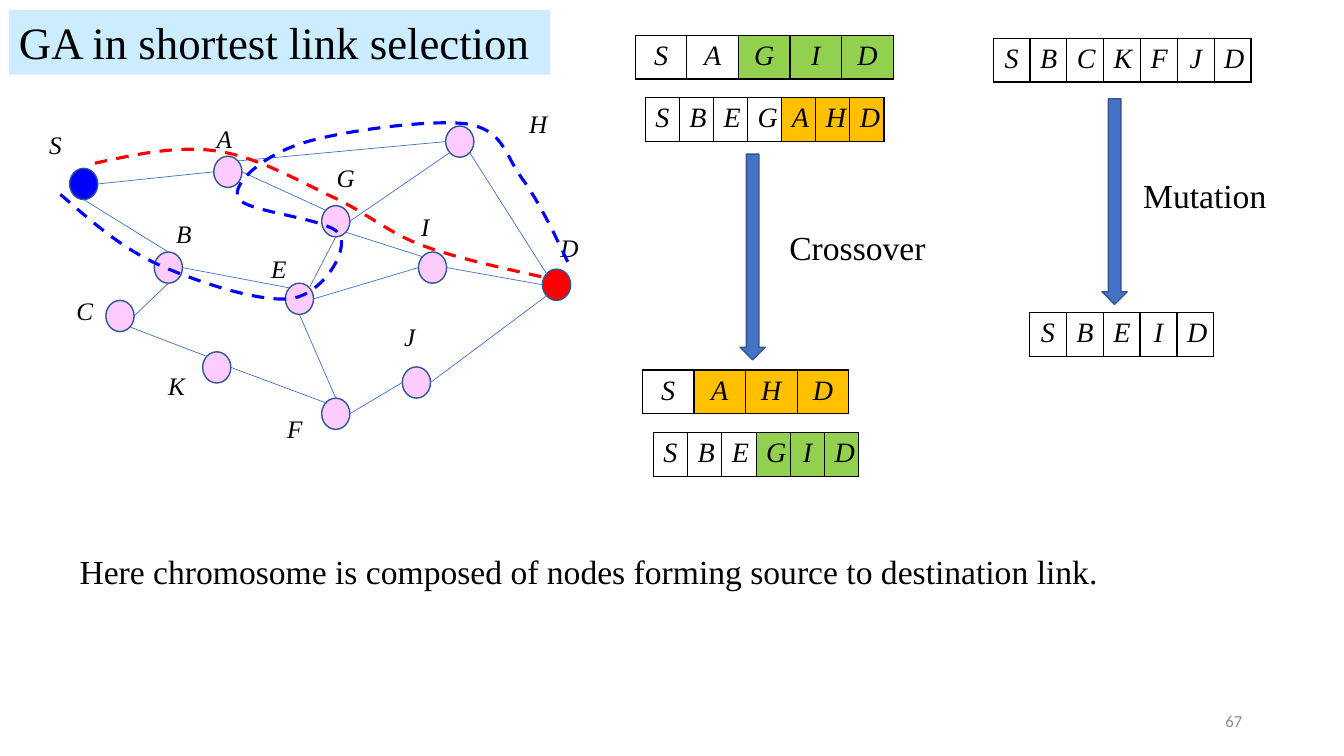
from dataclasses import dataclass

from lxml import etree
from pptx import Presentation
from pptx.dml.color import RGBColor
from pptx.enum.dml import MSO_LINE
from pptx.enum.shapes import MSO_CONNECTOR, MSO_SHAPE
from pptx.enum.text import MSO_ANCHOR, MSO_AUTO_SIZE, PP_ALIGN
from pptx.oxml.ns import qn
from pptx.util import Inches, Pt

DASH = MSO_LINE.DASH
STRAIGHT = MSO_CONNECTOR.STRAIGHT
OVAL, DOWN_ARROW = MSO_SHAPE.OVAL, MSO_SHAPE.DOWN_ARROW
TOP, MIDDLE = MSO_ANCHOR.TOP, MSO_ANCHOR.MIDDLE
GROW, FIXED = MSO_AUTO_SIZE.SHAPE_TO_FIT_TEXT, MSO_AUTO_SIZE.NONE
LEFT, CENTER, RIGHT = PP_ALIGN.LEFT, PP_ALIGN.CENTER, PP_ALIGN.RIGHT


@dataclass(frozen=True)
class Theme:
    font: str = "Times New Roman"
    number_font: str = "Calibri"
    ink: str = "000000"
    muted: str = "8C8C8C"
    title_fill: str = "CCECFF"
    node: str = "FFCCFF"
    source: str = "0000FF"
    target: str = "FF0000"
    accent: str = "4472C4"
    outline: str = "325491"
    green: str = "92D050"
    orange: str = "FFC000"
    title: int = 32
    body: int = 24
    gene: int = 20
    label: int = 18
    number: int = 12


T = Theme()
NODE_W, NODE_H = 0.28, 0.31
ROW_H = 0.43

# name: node left, node top, label left, label top (inside the network box)
NODES = {
    "S": (0.19, 0.67, -0.11, 0.23),
    "A": (1.62, 0.55, 1.55, 0.17),
    "C": (0.55, 1.98, 0.16, 1.88),
    "G": (2.69, 1.04, 2.74, 0.56),
    "E": (2.33, 1.81, 2.09, 1.46),
    "B": (1.03, 1.5, 1.15, 1.12),
    "H": (3.92, 0.25, 4.65, 0.03),
    "J": (3.49, 2.64, 3.41, 2.14),
    "D": (4.88, 1.67, 4.96, 1.26),
    "K": (1.51, 2.49, 1.07, 2.62),
    "F": (2.69, 2.95, 2.25, 3.05),
    "I": (3.65, 1.5, 3.58, 1.05),
}
# Points on a node's rim, as fractions of its box
RIM = {"n": (0.5, 0), "s": (0.5, 1), "w": (0, 0.5), "e": (1, 0.5),
       "nw": (0.15, 0.15), "ne": (0.85, 0.15), "sw": (0.15, 0.85), "se": (0.85, 0.85)}
LINKS = [
    ("S", "e", "A", "w"), ("A", "e", "G", "nw"), ("A", "ne", "H", "w"),
    ("S", "s", "B", "n"), ("B", "e", "E", "nw"), ("B", "s", "C", "e"),
    ("C", "se", "K", "nw"), ("E", "s", "F", "n"), ("E", "ne", "G", "s"),
    ("G", "e", "H", "sw"), ("H", "se", "D", "nw"), ("G", "se", "I", "nw"),
    ("E", "e", "I", "w"), ("F", "e", "J", "w"), ("J", "e", "D", "sw"),
    ("K", "e", "F", "nw"), ("I", "e", "D", "w"),
]
# Bezier routes: a start point, then two control points and an end per piece
RED_ROUTE = [
    (0.44, 0.62), (0.85, 0.53), (1.27, 0.44), (1.66, 0.5),
    (2.06, 0.56), (2.47, 0.8), (2.81, 0.96), (3.15, 1.12), (3.35, 1.31), (3.7, 1.44),
    (4.06, 1.57), (4.49, 1.66), (4.93, 1.76),
]
BLUE_ROUTE = [
    (0.1, 0.93), (0.4, 1.19), (0.7, 1.46), (1.08, 1.63),
    (1.46, 1.8), (2.1, 2.01), (2.4, 1.96), (2.7, 1.91), (2.96, 1.49), (2.87, 1.33),
    (2.78, 1.16), (1.92, 1.11), (1.86, 0.96), (1.8, 0.81), (2.12, 0.54), (2.5, 0.42),
    (2.88, 0.3), (3.77, 0.18), (4.13, 0.23), (4.49, 0.29), (4.5, 0.52), (4.67, 0.76),
    (4.84, 0.99), (5, 1.32), (5.15, 1.64),
]


def rgb(color):
    return RGBColor.from_string(color)


def write(tf, text, size=T.body, font=T.font, color=T.ink, italic=False, align=LEFT):
    p = tf.paragraphs[0]
    p.alignment = align
    r = p.add_run()
    r.text = text
    r.font.size, r.font.name, r.font.italic = Pt(size), font, italic
    r.font.color.rgb = rgb(color)


def add_text(s, text, left, top, width, height, fill=None, anchor=TOP, fit=GROW, **style):
    sp = s.shapes.add_textbox(Inches(left), Inches(top), Inches(width), Inches(height))
    if fill:
        sp.fill.solid()
        sp.fill.fore_color.rgb = rgb(fill)
    tf = sp.text_frame
    tf.word_wrap, tf.auto_size, tf.vertical_anchor = True, fit, anchor
    write(tf, text, **style)


def add_preset(s, kind, left, top, width, height, fill):
    sp = s.shapes.add_shape(kind, Inches(left), Inches(top), Inches(width), Inches(height))
    sp.shadow.inherit = False
    sp.fill.solid()
    sp.fill.fore_color.rgb = rgb(fill)
    sp.line.color.rgb = rgb(T.outline)
    sp.line.width = Pt(1)


def add_link(s, x1, y1, x2, y2):
    line = s.shapes.add_connector(STRAIGHT, Inches(x1), Inches(y1), Inches(x2), Inches(y2))
    line.line.color.rgb = rgb(T.accent)
    line.line.width = Pt(0.5)
    etree.SubElement(line._element.spPr, qn("a:effectLst"))


def add_route(s, left, top, points, color):
    """Draw a dashed line through every third point, bent by the control points between."""
    places = [(Inches(left + x), Inches(top + y)) for x, y in points]
    builder = s.shapes.build_freeform(*places[0])
    builder.add_line_segments(places[3::3], close=False)
    sp = builder.convert_to_shape()
    for i, segment in enumerate(list(sp._element.iter(qn("a:lnTo")))):
        segment.tag = qn("a:cubicBezTo")
        for k, (x, y) in enumerate(places[3 * i + 1:3 * i + 3]):
            control = etree.Element(qn("a:pt"), x=str(x - sp.left), y=str(y - sp.top))
            segment.insert(k, control)
    sp.shadow.inherit = False
    sp.fill.background()
    sp.line.color.rgb = rgb(color)
    sp.line.width = Pt(2.25)
    sp.line.dash_style = DASH


def add_network(s, left, top):
    def rim(name, side):
        x, y = NODES[name][:2]
        fx, fy = RIM[side]
        return left + x + fx * NODE_W, top + y + fy * NODE_H

    fills = {"S": T.source, "D": T.target}
    for name, (x, y, _, _) in NODES.items():
        add_preset(s, OVAL, left + x, top + y, NODE_W, NODE_H, fills.get(name, T.node))
    for a, a_side, b, b_side in LINKS:
        add_link(s, *rim(a, a_side), *rim(b, b_side))
    for name, (_, _, x, y) in NODES.items():
        add_text(s, name, left + x, top + y, 0.44, 0.4, size=T.label, italic=True)
    add_route(s, left, top, RED_ROUTE, T.target)
    add_route(s, left, top, BLUE_ROUTE, T.source)


def set_borders(cell):
    tcPr = cell._tc.get_or_add_tcPr()
    for side in ("a:lnL", "a:lnR", "a:lnT", "a:lnB"):
        ln = etree.SubElement(tcPr, qn(side), w=str(Pt(1)))
        solid = etree.SubElement(ln, qn("a:solidFill"))
        etree.SubElement(solid, qn("a:srgbClr"), val=T.ink)


def add_chromosome(s, genes, left, top, width, tail=0, color=None):
    """Draw one gene per cell and fill the last `tail` cells."""
    count = len(genes)
    table = s.shapes.add_table(1, count, Inches(left), Inches(top),
                               Inches(width), Inches(ROW_H)).table
    table.first_row = table.horz_banding = False
    for i, gene in enumerate(genes):
        cell = table.cell(0, i)
        set_borders(cell)
        if i >= count - tail:
            cell.fill.solid()
            cell.fill.fore_color.rgb = rgb(color)
        else:
            cell.fill.background()
        write(cell.text_frame, gene, size=T.gene, italic=True, align=CENTER)


def add_crossover(s, left, top):
    add_chromosome(s, "SAGID", left, top, 2.56, 3, T.green)
    add_chromosome(s, "SBEGAHD", left + 0.1, top + 0.62, 2.37, 3, T.orange)
    add_preset(s, DOWN_ARROW, left + 1.04, top + 1.18, 0.25, 2.04, T.accent)
    add_text(s, "Crossover", left + 1.43, top + 1.85, 1.68, 0.5)
    add_chromosome(s, "SAHD", left + 0.07, top + 3.32, 2.05, 3, T.orange)
    add_chromosome(s, "SBEGID", left + 0.18, top + 3.94, 2.04, 3, T.green)


def add_mutation(s, left, top):
    add_chromosome(s, "SBCKFJD", left, top, 2.56)
    add_preset(s, DOWN_ARROW, left + 1.08, top + 0.6, 0.25, 2.04, T.accent)
    add_text(s, "Mutation", left + 1.39, top + 1.31, 1.49, 0.5)
    add_chromosome(s, "SBEID", left + 0.36, top + 2.72, 1.83)


def main():
    prs = Presentation()
    prs.slide_width, prs.slide_height = Inches(13.33), Inches(7.5)
    s = prs.slides.add_slide(prs.slide_layouts[6])
    add_text(s, "GA in shortest link selection", 0.09, 0.1, 5.37, 0.64,
             fill=T.title_fill, size=T.title)
    add_network(s, 0.5, 1)
    add_crossover(s, 6.3, 0.35)
    add_mutation(s, 9.85, 0.38)
    add_text(s, "Here chromosome is composed of nodes forming source to destination link.",
             0.69, 5.42, 10.49, 0.5)
    add_text(s, "67", 9.42, 6.95, 3, 0.4, anchor=MIDDLE, fit=FIXED, size=T.number,
             font=T.number_font, color=T.muted, align=RIGHT)
    prs.save("out.pptx")


if __name__ == "__main__":
    main()
